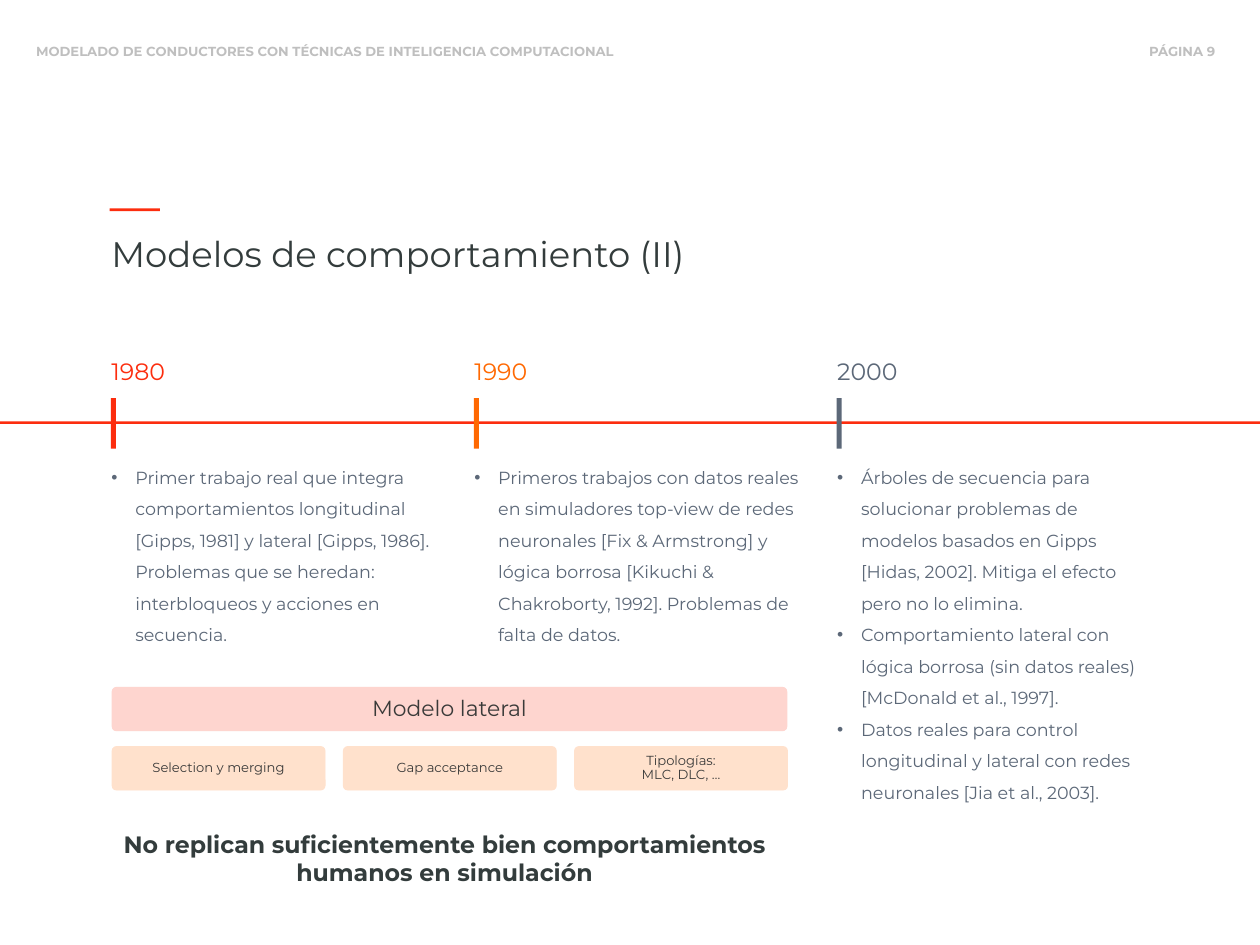
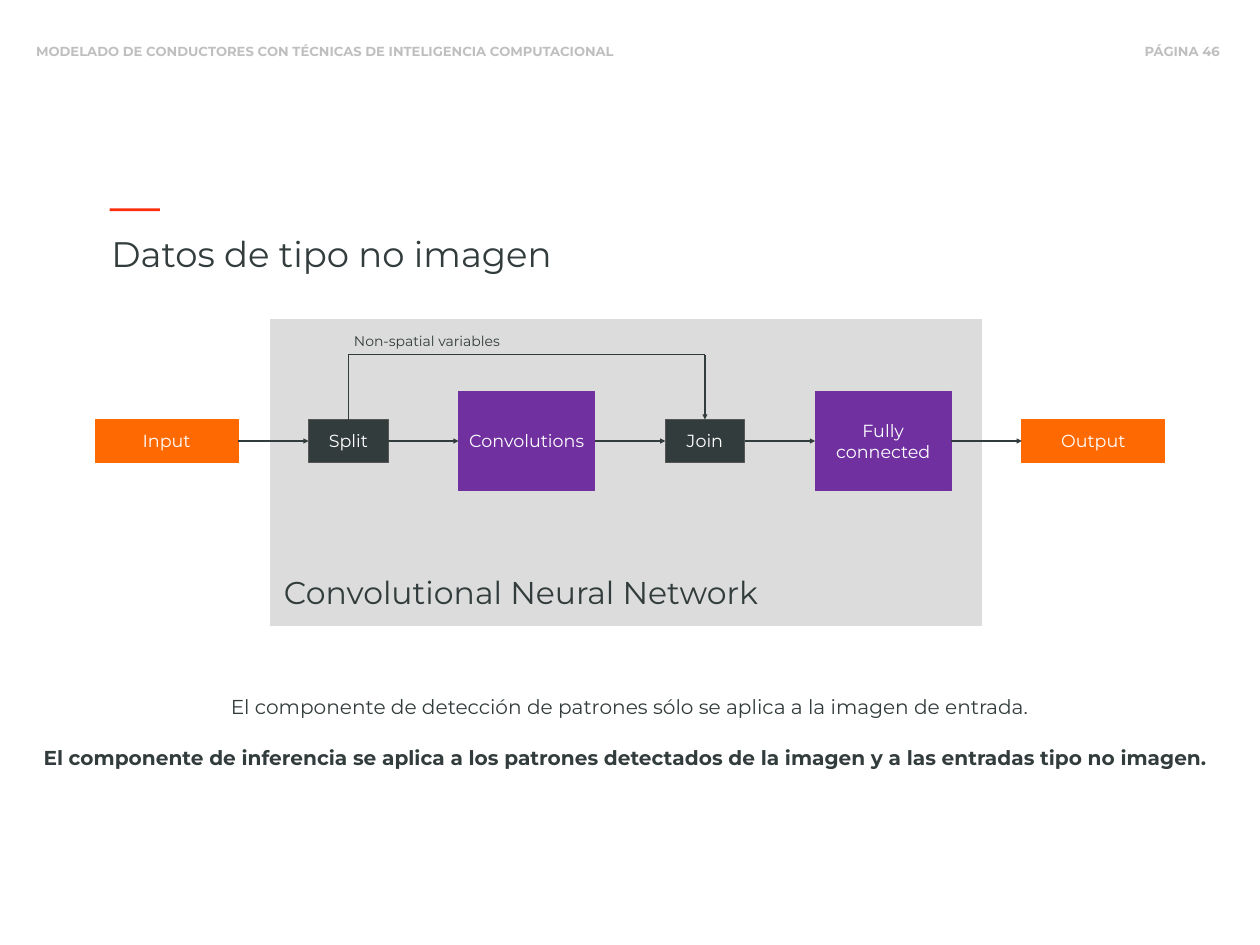
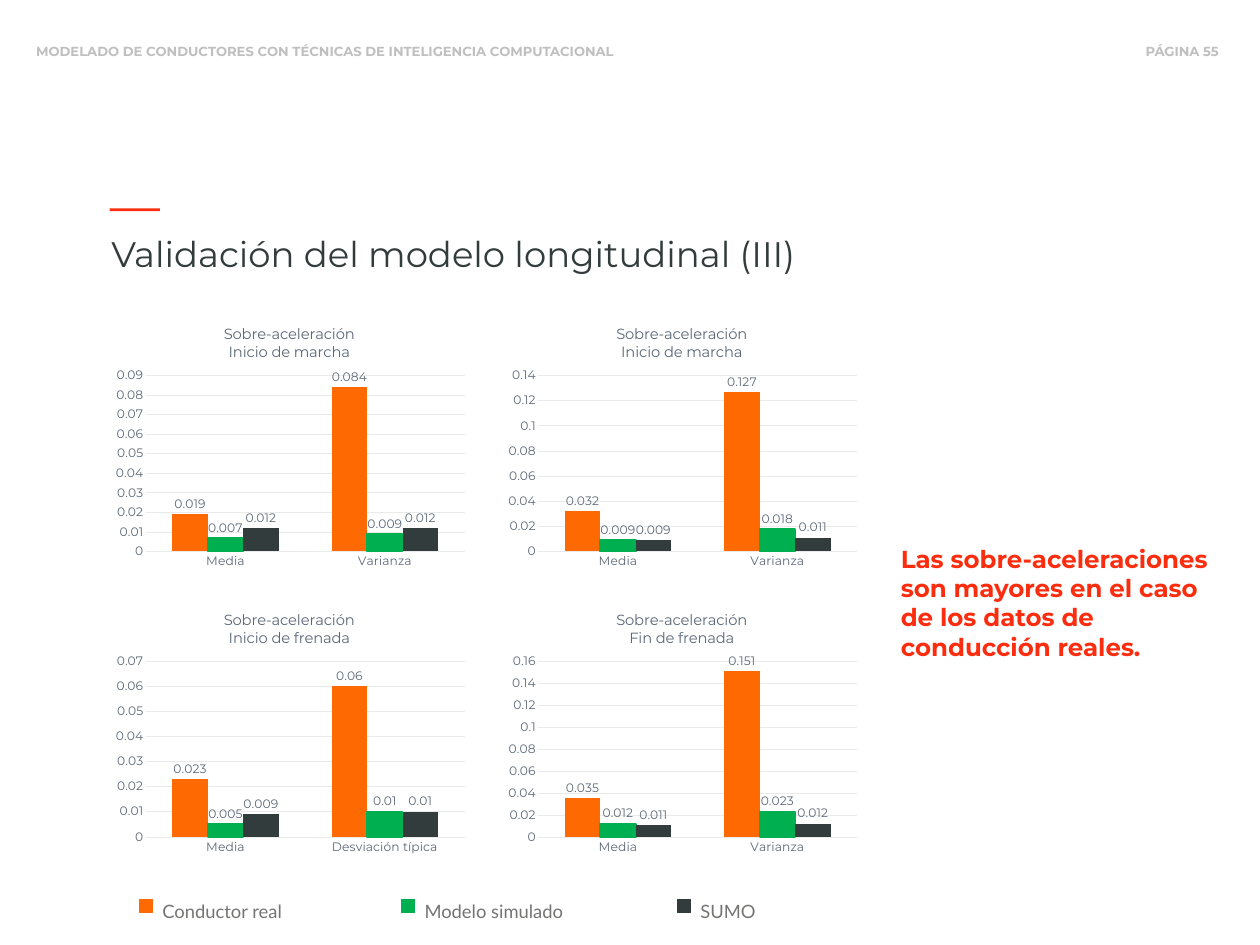
"""Builds three slides on driver models: a timeline, a network flow and a chart grid."""
from dataclasses import dataclass
from itertools import pairwise
from typing import NamedTuple

from lxml.etree import Element, SubElement
from pptx import Presentation
from pptx.chart.data import CategoryChartData
from pptx.dml.color import RGBColor
from pptx.enum.chart import XL_CHART_TYPE, XL_LABEL_POSITION, XL_TICK_MARK
from pptx.enum.shapes import MSO_CONNECTOR, MSO_SHAPE
from pptx.enum.text import MSO_ANCHOR, PP_ALIGN
from pptx.oxml.ns import qn
from pptx.shapes.autoshape import Shape
from pptx.shapes.connector import Connector
from pptx.slide import Slide
from pptx.text.text import TextFrame
from pptx.util import Inches, Pt


@dataclass(frozen=True)
class Theme:
    red: RGBColor = RGBColor(0xFC, 0x2D, 0x0E)
    orange: RGBColor = RGBColor(0xFF, 0x69, 0x02)
    green: RGBColor = RGBColor(0x00, 0xB0, 0x50)
    purple: RGBColor = RGBColor(0x70, 0x30, 0xA0)
    slate: RGBColor = RGBColor(0x5C, 0x68, 0x78)
    dark: RGBColor = RGBColor(0x33, 0x3C, 0x3C)
    edge: RGBColor = RGBColor(0x55, 0x57, 0x54)
    ink: RGBColor = RGBColor(0x3A, 0x3A, 0x39)
    gray: RGBColor = RGBColor(0x73, 0x75, 0x72)
    pale: RGBColor = RGBColor(0xBF, 0xBF, 0xBF)
    grid: RGBColor = RGBColor(0xEA, 0xEA, 0xEA)
    pink: RGBColor = RGBColor(0xFE, 0xD5, 0xCF)
    peach: RGBColor = RGBColor(0xFF, 0xE1, 0xCC)
    white: RGBColor = RGBColor(0xFF, 0xFF, 0xFF)
    font: str = "Montserrat"
    key_font: str = "Lato"
    title: float = 40.5
    group: float = 36
    claim: float = 28
    year: float = 27
    model: float = 25
    note: float = 23
    key: float = 21
    body: float = 20
    head: float = 16.8
    label: float = 16
    small: float = 15
    chart: float = 14


T = Theme()


class Style(NamedTuple):
    size: float
    color: RGBColor
    bold: bool = False
    align: PP_ALIGN = PP_ALIGN.LEFT
    space: float = 1.0
    bullet: bool = False
    font: str = T.font


class Box(NamedTuple):
    left: float
    top: float
    width: float
    height: float


class Era(NamedTuple):
    year: str
    color: RGBColor
    width: float
    points: list[str]


class Step(NamedTuple):
    text: str
    width: float
    height: float
    fill: RGBColor
    line: RGBColor


class Plot(NamedTuple):
    name: str
    last: str
    top: float
    unit: float
    rows: list[tuple[float, float]]


class Key(NamedTuple):
    name: str
    left: float
    color: RGBColor


HEADER = "MODELADO DE CONDUCTORES CON TÉCNICAS DE INTELIGENCIA COMPUTACIONAL"

ERAS = [
    Era("1980", T.red, 5.57, [
        "Primer trabajo real que integra comportamientos longitudinal "
        "[Gipps, 1981] y lateral [Gipps, 1986]. Problemas que se heredan: "
        "interbloqueos y acciones en secuencia."]),
    Era("1990", T.orange, 5.57, [
        "Primeros trabajos con datos reales en simuladores top-view de redes "
        "neuronales [Fix & Armstrong] y lógica borrosa [Kikuchi & Chakroborty, "
        "1992]. Problemas de falta de datos."]),
    Era("2000", T.slate, 5.14, [
        "Árboles de secuencia para solucionar problemas de modelos basados en "
        "Gipps [Hidas, 2002]. Mitiga el efecto pero no lo elimina.",
        "Comportamiento lateral con lógica borrosa (sin datos reales) "
        "[McDonald et al., 1997].",
        "Datos reales para control longitudinal y lateral con redes neuronales "
        "[Jia et al., 2003]."]),
]

STEPS = [
    Step("Input", 2.27, 0.67, T.orange, T.orange),
    Step("Split", 1.26, 0.67, T.dark, T.edge),
    Step("Convolutions", 2.16, 1.58, T.purple, T.purple),
    Step("Join", 1.26, 0.67, T.dark, T.edge),
    Step("Fully connected", 2.16, 1.58, T.purple, T.purple),
    Step("Output", 2.27, 0.67, T.orange, T.orange),
]

PLOTS = [
    Plot("Inicio de marcha", "Varianza", 0.09, 0.01,
         [(0.019, 0.084), (0.007, 0.009), (0.012, 0.012)]),
    Plot("Inicio de marcha", "Varianza", 0.14, 0.02,
         [(0.032, 0.127), (0.009, 0.018), (0.009, 0.011)]),
    Plot("Inicio de frenada", "Desviación típica", 0.07, 0.01,
         [(0.023, 0.06), (0.005, 0.01), (0.009, 0.01)]),
    Plot("Fin de frenada", "Varianza", 0.16, 0.02,
         [(0.035, 0.151), (0.012, 0.023), (0.011, 0.012)]),
]

KEYS = [
    Key("Conductor real", 2.21, T.orange),
    Key("Modelo simulado", 6.37, T.green),
    Key("SUMO", 10.75, T.dark),
]


def write(frame: TextFrame, lines: list[str], style: Style) -> None:
    for index, line in enumerate(lines):
        para = frame.add_paragraph() if index else frame.paragraphs[0]
        if style.bullet:
            props = para._p.get_or_add_pPr()
            props.set("marL", str(Inches(0.38)))
            props.set("indent", str(-Inches(0.38)))
            SubElement(props, qn("a:buFont"), typeface="Arial")
            SubElement(props, qn("a:buChar"), char="•")
        para.alignment = style.align
        para.line_spacing = style.space
        for turn, part in enumerate(line.split("\n")):
            if turn:
                para.add_line_break()
            run = para.add_run()
            run.text = part
            run.font.name = style.font
            run.font.size = Pt(style.size)
            run.font.bold = style.bold
            run.font.color.rgb = style.color


def add_text(slide: Slide, box: Box, lines: list[str], style: Style) -> None:
    shape = slide.shapes.add_textbox(*map(Inches, box))
    shape.text_frame.word_wrap = True
    write(shape.text_frame, lines, style)


def add_block(slide: Slide, box: Box, fill: RGBColor, line: RGBColor | None = None,
              kind: MSO_SHAPE = MSO_SHAPE.RECTANGLE) -> Shape:
    shape = slide.shapes.add_shape(kind, *map(Inches, box))
    shape.shadow.inherit = False
    shape.fill.solid()
    shape.fill.fore_color.rgb = fill
    if line is None:
        shape.line.fill.background()
    else:
        shape.line.color.rgb = line
        shape.line.width = Pt(1)
    return shape


def fill_block(shape: Shape, text: str, style: Style) -> None:
    frame = shape.text_frame
    frame.word_wrap = True
    frame.vertical_anchor = MSO_ANCHOR.MIDDLE
    write(frame, [text], style)


def add_line(slide: Slide, start: tuple[float, float], end: tuple[float, float],
             arrow: bool = True) -> Connector:
    link = slide.shapes.add_connector(
        MSO_CONNECTOR.STRAIGHT, *map(Inches, start + end))
    link.line.color.rgb = T.dark
    link.line.width = Pt(1.5)
    props = link.element.spPr
    if arrow:
        SubElement(props.find(qn("a:ln")), qn("a:tailEnd"), type="triangle")
    SubElement(props, qn("a:effectLst"))
    return link


def start_slide(deck: Presentation, title: str, page: int) -> Slide:
    slide = deck.slides.add_slide(deck.slide_layouts[6])
    style = Style(T.small, T.pale, True, PP_ALIGN.CENTER)
    add_text(slide, Box(17.94, 0.64, 1.65, 0.4), [f"PÁGINA {page}"], style)
    add_text(slide, Box(0.36, 0.64, 9.6, 0.4), [HEADER], style)
    add_text(slide, Box(1.67, 3.63, 12, 0.78), [title], Style(T.title, T.dark))
    add_block(slide, Box(1.74, 3.31, 0.8, 0.04), T.red)
    return slide


def add_tile(slide: Slide, box: Box, fill: RGBColor, text: str, size: float) -> None:
    tile = add_block(slide, box, fill, fill, MSO_SHAPE.ROUNDED_RECTANGLE)
    tile.adjustments[0] = 0.1
    fill_block(tile, text, Style(size, T.ink, align=PP_ALIGN.CENTER, space=0.9))


def draw_eras(deck: Presentation) -> None:
    slide = start_slide(deck, "Modelos de comportamiento (II)", 9)
    add_block(slide, Box(0, 6.69, 20, 0.04), T.red)
    for index, era in enumerate(ERAS):
        left = 1.67 + index * 5.76
        add_text(slide, Box(left, 5.61, 2.29, 0.56), [era.year],
                 Style(T.year, era.color))
        add_block(slide, Box(left + 0.09, 6.32, 0.08, 0.8), era.color)
        add_text(slide, Box(left, 7.19, era.width, 3.07), era.points,
                 Style(T.body, T.slate, space=1.5, bullet=True))
    add_tile(slide, Box(1.78, 10.91, 10.71, 0.69), T.pink, "Modelo lateral", T.model)
    parts = ["Selection y merging", "Gap acceptance", "Tipologías:\nMLC, DLC, …"]
    for index, part in enumerate(parts):
        add_tile(slide, Box(1.78 + index * 3.67, 11.85, 3.38, 0.69), T.peach,
                 part, T.small)
    add_text(slide, Box(1.6, 13.12, 10.91, 1.01),
             ["No replican suficientemente bien comportamientos humanos en simulación"],
             Style(T.year, T.dark, True, PP_ALIGN.CENTER))


def draw_flow(deck: Presentation) -> None:
    slide = start_slide(deck, "Datos de tipo no imagen", 46)
    panel = add_block(slide, Box(4.27, 5.06, 11.32, 4.89), T.gray, T.white)
    tint = panel.element.spPr.find(qn("a:solidFill")).find(qn("a:srgbClr"))
    SubElement(tint, qn("a:alpha"), val="25000")

    mid, gap, left = 7.0, 1.12, 1.51
    blocks = []
    for step in STEPS:
        box = Box(left, mid - step.height / 2, step.width, step.height)
        block = add_block(slide, box, step.fill, step.line)
        fill_block(block, step.text,
                   Style(T.body, T.white, align=PP_ALIGN.CENTER))
        blocks.append(block)
        left += step.width + gap
    for prior, after in pairwise(blocks):
        link = add_line(slide, (0, mid), (1, mid))
        link.begin_connect(prior, 3)
        link.end_connect(after, 1)

    split, join, high, low = 5.53, 11.19, 5.63, 6.66
    add_line(slide, (split, low), (split, high), False)
    add_line(slide, (split, high), (join, high), False)
    add_line(slide, (join, high), (join, low))

    add_text(slide, Box(4.41, 9.04, 8.5, 0.71), ["Convolutional Neural Network"],
             Style(T.group, T.dark))
    add_text(slide, Box(5.52, 5.23, 3, 0.37), ["Non-spatial variables"],
             Style(T.label, T.dark))
    add_text(slide, Box(1.69, 10.98, 16.62, 0.49),
             ["El componente de detección de patrones sólo se aplica a la imagen "
              "de entrada."],
             Style(T.note, T.dark, align=PP_ALIGN.CENTER))
    add_text(slide, Box(0.55, 11.78, 18.77, 0.49),
             ["El componente de inferencia se aplica a los patrones detectados de "
              "la imagen y a las entradas tipo no imagen."],
             Style(T.note, T.dark, True, PP_ALIGN.CENTER))


def set_place(node: Element, index: int, **values: str | float) -> None:
    for old in node.findall(qn("c:layout")):
        node.remove(old)
    frame = Element(qn("c:layout"))
    node.insert(index, frame)
    manual = SubElement(frame, qn("c:manualLayout"))
    for name, value in values.items():
        SubElement(manual, qn(f"c:{name}"), val=str(value))


def add_plot(slide: Slide, box: Box, plot: Plot) -> None:
    data = CategoryChartData()
    data.categories = ["Media", plot.last]
    for key, row in zip(KEYS, plot.rows):
        data.add_series(key.name, row)
    chart = slide.shapes.add_chart(
        XL_CHART_TYPE.COLUMN_CLUSTERED, *map(Inches, box), data).chart
    chart.has_legend = False
    chart.font.name = T.font
    chart.font.size = Pt(T.chart)
    chart.font.color.rgb = T.slate

    chart.has_title = True
    write(chart.chart_title.text_frame, ["Sobre-aceleración", plot.name],
          Style(T.head, T.slate, align=PP_ALIGN.CENTER))
    set_place(chart.chart_title.element, 1, xMode="edge", yMode="edge",
              x=0.31, y=0.04)
    set_place(chart.element.find(".//" + qn("c:plotArea")), 0,
              layoutTarget="inner", xMode="edge", yMode="edge",
              x=0.1, y=0.24, w=0.88, h=0.67)

    values, names = chart.value_axis, chart.category_axis
    values.minimum_scale = 0
    values.maximum_scale = plot.top
    values.major_unit = plot.unit
    values.tick_labels.number_format = "General"
    values.tick_labels.number_format_is_linked = False
    values.format.line.fill.background()
    for axis in (values, names):
        axis.major_tick_mark = XL_TICK_MARK.NONE
    for line in (values.major_gridlines.format.line, names.format.line):
        line.color.rgb = T.grid
        line.width = Pt(0.75)

    group = chart.plots[0]
    group.gap_width = 150
    group.overlap = 0
    group.vary_by_categories = False
    for key, bars in zip(KEYS, group.series):
        bars.format.fill.solid()
        bars.format.fill.fore_color.rgb = key.color
        if key.color == T.green:
            bars.format.line.color.rgb = T.green
            bars.format.line.width = Pt(2)
        labels = bars.data_labels
        labels.show_value = True
        labels.position = XL_LABEL_POSITION.OUTSIDE_END
        labels.font.name = T.font
        labels.font.size = Pt(T.chart)
        labels.font.color.rgb = T.slate


def draw_plots(deck: Presentation) -> None:
    slide = start_slide(deck, "Validación del modelo longitudinal (III)", 55)
    for index, plot in enumerate(PLOTS):
        row, column = divmod(index, 2)
        add_plot(slide, Box(1.74 + column * 6.23, 4.96 + row * 4.53, 5.75, 4.17), plot)
    for key in KEYS:
        add_block(slide, Box(key.left, 14.27, 0.21, 0.21), key.color, key.color)
        add_text(slide, Box(key.left + 0.27, 14.07, 3.13, 0.57), [key.name],
                 Style(T.key, T.gray, space=1.5, font=T.key_font))
    add_text(slide, Box(14.2, 8.58, 5.21, 1.99),
             ["Las sobre-aceleraciones son mayores en el caso de los datos de "
              "conducción reales."],
             Style(T.claim, T.red, True))


def main() -> None:
    deck = Presentation()
    deck.slide_width, deck.slide_height = Inches(20), Inches(15)
    for draw in (draw_eras, draw_flow, draw_plots):
        draw(deck)
    deck.save("out.pptx")


if __name__ == "__main__":
    main()
